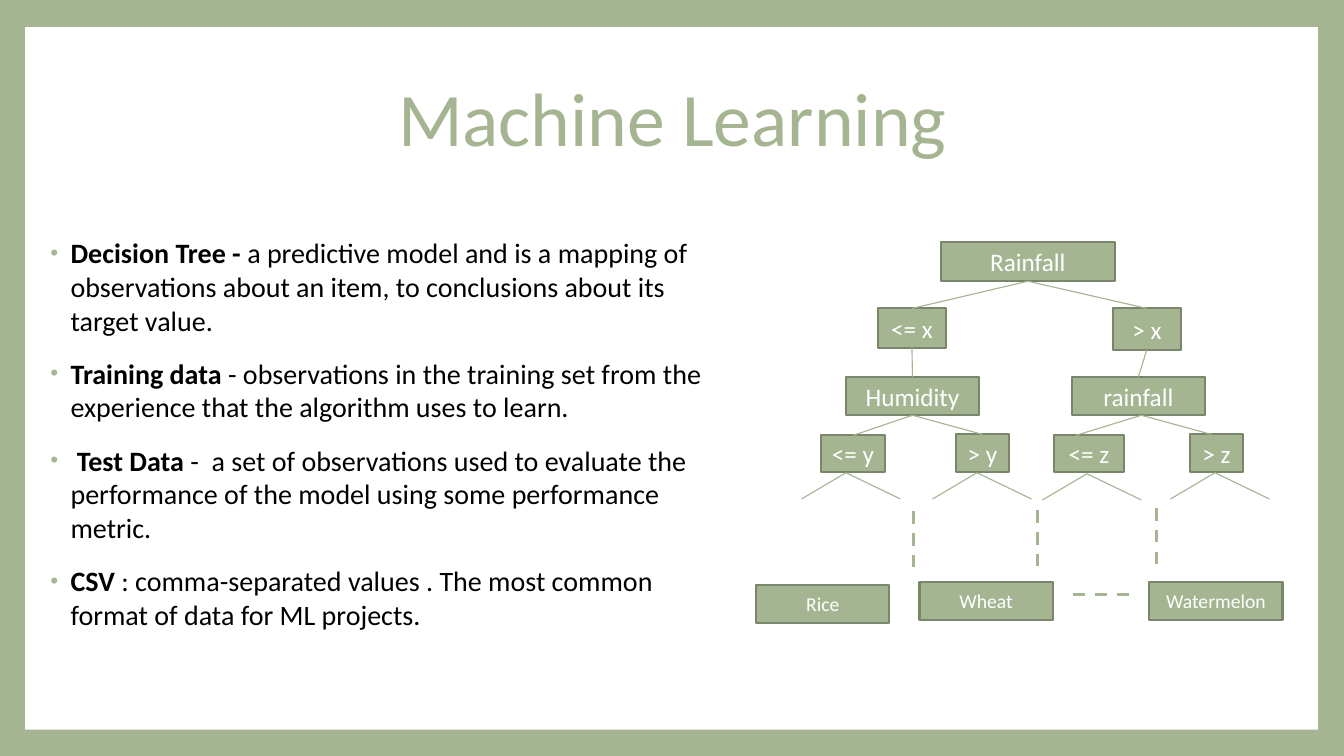
from dataclasses import dataclass

from lxml.etree import SubElement
from pptx import Presentation
from pptx.dml.color import RGBColor
from pptx.enum.dml import MSO_LINE
from pptx.enum.shapes import MSO_CONNECTOR, MSO_SHAPE
from pptx.enum.text import MSO_ANCHOR, MSO_AUTO_SIZE, PP_ALIGN
from pptx.oxml.ns import qn
from pptx.util import Inches, Pt


@dataclass(frozen=True)
class Theme:
    font: str = "Calibri"
    sage: str = "A5B592"
    outline: str = "7A866C"
    white: str = "FFFFFF"
    black: str = "000000"
    title_size: float = 54
    body_size: float = 20
    node_size: float = 18
    leaf_size: float = 14
    outline_width: float = 1.5
    branch_width: float = 0.79
    dash_width: float = 2.25


def color(value):
    return RGBColor.from_string(value)


def add_text(para, text, *, font, size, fill, bold=False):
    span = para.add_run()
    span.text = text
    span.font.name = font
    span.font.size = Pt(size)
    span.font.bold = bold
    span.font.color.rgb = color(fill)


def add_bullet(para, fill):
    """Give the paragraph a hanging round bullet at 80 % of the text size."""
    properties = para._p.get_or_add_pPr()
    properties.set("marL", str(Inches(0.25)))
    properties.set("indent", str(Inches(-0.2)))
    bullet_color = SubElement(properties, qn("a:buClr"))
    SubElement(bullet_color, qn("a:srgbClr"), val=fill)
    SubElement(properties, qn("a:buSzPct"), val="80000")
    SubElement(properties, qn("a:buFont"), typeface="Arial")
    SubElement(properties, qn("a:buChar"), char="•")


class SlideBuilder:
    def __init__(self, page, theme):
        self.page = page
        self.theme = theme
        self.tree = page.shapes.add_group_shape()

    def frame(self, left, top, width, height):
        """Color the background and lay a white panel behind everything."""
        background = self.page.background.fill
        background.solid()
        background.fore_color.rgb = color(self.theme.sage)
        panel = self.page.shapes.add_shape(
            MSO_SHAPE.RECTANGLE, *map(Inches, (left, top, width, height)))
        panel.shadow.inherit = False
        panel.fill.solid()
        panel.fill.fore_color.rgb = color(self.theme.white)
        panel.line.fill.background()
        self.page.shapes._spTree.insert(2, panel._element)

    def place(self, holder, left, top, width, height):
        holder.left, holder.top = Inches(left), Inches(top)
        holder.width, holder.height = Inches(width), Inches(height)
        holder.text_frame.word_wrap = True
        holder.text_frame.auto_size = MSO_AUTO_SIZE.NONE
        return holder.text_frame

    def title(self, text, *area):
        text_frame = self.place(self.page.shapes.title, *area)
        text_frame.vertical_anchor = MSO_ANCHOR.MIDDLE
        para = text_frame.paragraphs[0]
        para.alignment = PP_ALIGN.CENTER
        para.line_spacing = 0.9
        add_text(para, text, font=self.theme.font,
                 size=self.theme.title_size, fill=self.theme.sage)

    def bullets(self, items, *area):
        text_frame = self.place(self.page.placeholders[1], *area)
        for index, (term, meaning) in enumerate(items):
            para = text_frame.add_paragraph() if index else text_frame.paragraphs[0]
            para.line_spacing = 1.0
            para.space_before = Pt(14)
            add_bullet(para, self.theme.sage)
            for text, bold in ((term, True), (meaning, False)):
                add_text(para, text, font=self.theme.font, bold=bold,
                         size=self.theme.body_size, fill=self.theme.black)

    def box(self, text, left, top, width, height, size):
        box = self.tree.shapes.add_shape(
            MSO_SHAPE.RECTANGLE, *map(Inches, (left, top, width, height)))
        box.shadow.inherit = False
        box.fill.solid()
        box.fill.fore_color.rgb = color(self.theme.sage)
        box.line.color.rgb = color(self.theme.outline)
        box.line.width = Pt(self.theme.outline_width)
        box.text_frame.word_wrap = False
        box.text_frame.vertical_anchor = MSO_ANCHOR.MIDDLE
        para = box.text_frame.paragraphs[0]
        para.alignment = PP_ALIGN.CENTER
        add_text(para, text, font=self.theme.font, size=size, fill=self.theme.white)

    def line(self, start, end, dashed=False):
        line = self.tree.shapes.add_connector(
            MSO_CONNECTOR.STRAIGHT, *map(Inches, (*start, *end)))
        line.line.color.rgb = color(self.theme.sage)
        line.line.width = Pt(self.theme.dash_width if dashed else self.theme.branch_width)
        if dashed:
            line.line.dash_style = MSO_LINE.DASH
        SubElement(line._element.spPr, qn("a:effectLst"))


DEFINITIONS = [
    ("Decision Tree - ", "a predictive model and is a mapping of observations "
     "about an item, to conclusions about its target value."),
    ("Training data ", "- observations in the training set from the experience "
     "that the algorithm uses to learn."),
    (" Test Data ", "-  a set of observations used to evaluate the performance "
     "of the model using some performance metric."),
    ("CSV", " : comma-separated values . The most common format of data "
     "for ML projects."),
]

# Text: left, top, width, height
NODES = {
    "Rainfall": (9.33, 2.4, 1.73, 0.39),
    "<= x": (8.71, 3.06, 0.67, 0.39),
    "> x": (11.04, 3.06, 0.67, 0.41),
    "Humidity": (8.39, 3.74, 1.32, 0.38),
    "rainfall": (10.63, 3.74, 1.32, 0.38),
    "<= y": (8.14, 4.32, 0.64, 0.36),
    "> y": (9.48, 4.31, 0.53, 0.37),
    "<= z": (10.45, 4.32, 0.7, 0.36),
    "> z": (11.8, 4.31, 0.53, 0.37),
}
# Parent, child, sideways shift of each end from the box center
BRANCHES = [
    ("Rainfall", "<= x", 0, 0),
    ("Rainfall", "> x", 0, 0),
    ("<= x", "Humidity", 0, 0),
    ("> x", "rainfall", 0, 0),
    ("Humidity", "<= y", 0, 0),
    ("Humidity", "> y", 0, 0),
    ("rainfall", "<= z", 0.03, -0.13),
    ("rainfall", "> z", 0.03, -0.05),
]
FORKS = [(8.39, 4.69), (9.69, 4.69), (10.78, 4.7), (12.05, 4.69)]
LEAVES = {"Rice": (7.5, 5.8), "Wheat": (9.12, 5.77), "Watermelon": (11.4, 5.77)}
ELLIPSES = [
    ((11.47, 5.04), (11.47, 5.68)),
    ((10.29, 5.06), (10.29, 5.7)),
    ((9.06, 5.07), (9.06, 5.7)),
    ((10.64, 5.9), (11.21, 5.9)),
]


def draw_tree(builder):
    theme = builder.theme
    for text, area in NODES.items():
        builder.box(text, *area, size=theme.node_size)
    for text, corner in LEAVES.items():
        builder.box(text, *corner, 1.32, 0.38, size=theme.leaf_size)
    for start, end in ELLIPSES:
        builder.line(start, end, dashed=True)
    for parent, child, parent_shift, child_shift in BRANCHES:
        left, top, width, height = NODES[parent]
        child_left, child_top, child_width, _ = NODES[child]
        builder.line((left + width / 2 + parent_shift, top + height),
                     (child_left + child_width / 2 + child_shift, child_top))
    for x, y in FORKS:
        for reach in (-0.44, 0.54):
            builder.line((x, y), (x + reach, y + 0.26))


def main():
    deck = Presentation()
    deck.slide_width, deck.slide_height = Inches(13.33), Inches(7.5)
    page = deck.slides.add_slide(deck.slide_layouts[1])
    builder = SlideBuilder(page, Theme())
    builder.frame(0.25, 0.27, 12.82, 6.97)
    builder.title("Machine Learning", 3.55, 0.7, 6.24, 1.02)
    builder.bullets(DEFINITIONS, 0.35, 2.29, 6.78, 4.25)
    draw_tree(builder)
    deck.save("out.pptx")


if __name__ == "__main__":
    main()
